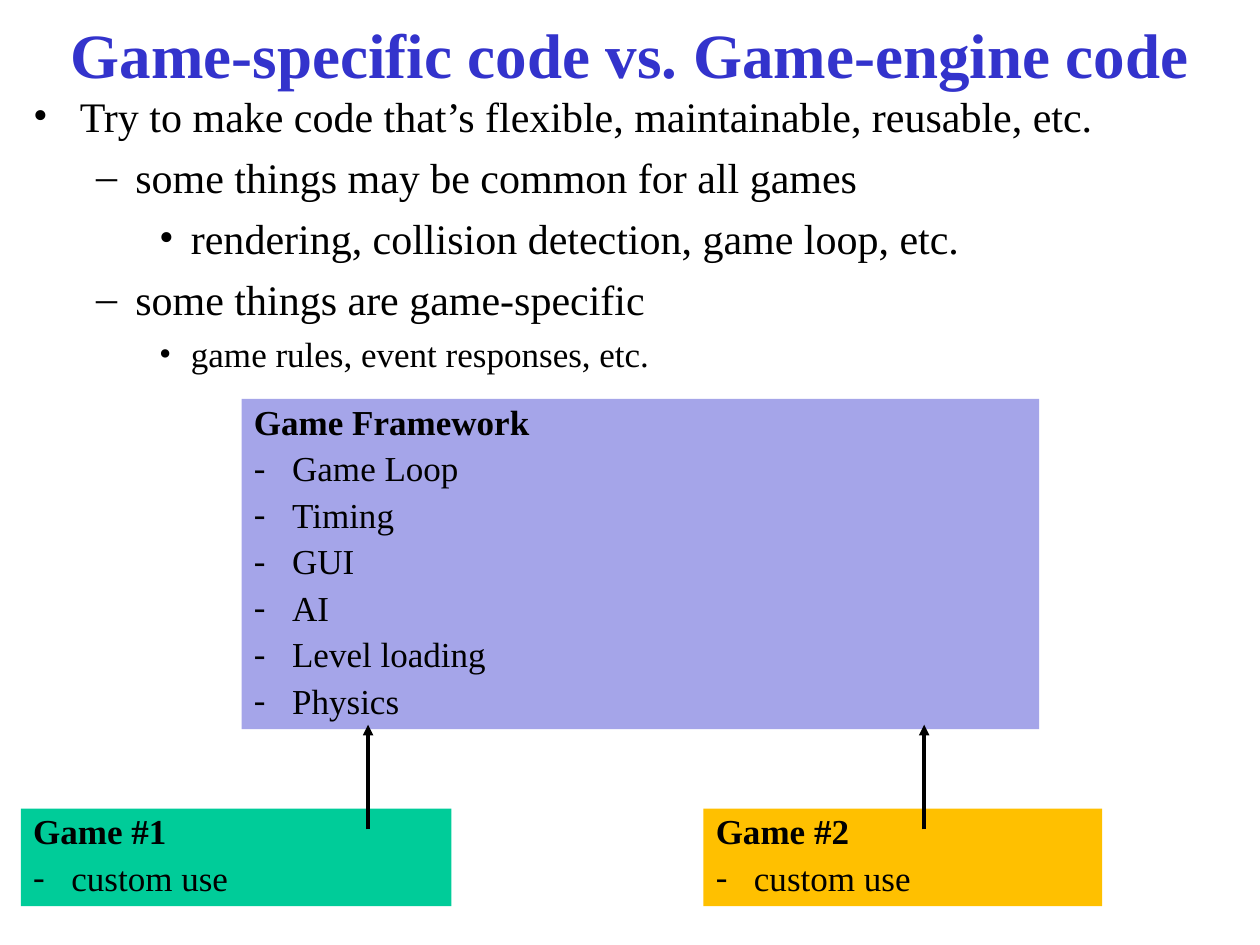
from pptx import Presentation
from pptx.dml.color import RGBColor
from pptx.enum.shapes import MSO_CONNECTOR as CONNECTOR, MSO_SHAPE as SHAPE
from pptx.enum.text import MSO_ANCHOR as ANCHOR, PP_ALIGN as ALIGN
from pptx.oxml.ns import qn
from pptx.util import Cm, Pt
from lxml.etree import SubElement


def color(value):
    return RGBColor.from_string(value)


def add_paragraph(frame, index, text, size, before, bullet=None, left=0, hanging=0,
                  bold=False, ink="000000"):
    paragraph = frame.paragraphs[0] if index == 0 else frame.add_paragraph()
    paragraph.space_before = Pt(before)
    properties = paragraph._p.get_or_add_pPr()
    if bullet:
        properties.set("marL", str(Cm(left)))
        properties.set("indent", str(-Cm(hanging)))
        SubElement(properties, qn("a:buFont"), typeface="Times New Roman")
        SubElement(properties, qn("a:buChar"), char=bullet)
    run = paragraph.add_run()
    run.text = text
    run.font.name = "Times New Roman"
    run.font.size = Pt(size)
    run.font.bold = bold
    run.font.color.rgb = color(ink)
    return paragraph


presentation = Presentation()
presentation.slide_width, presentation.slide_height = Cm(25.4), Cm(19.05)
slide = presentation.slides.add_slide(presentation.slide_layouts[5])

# Title
title = slide.shapes.title
title.left, title.top, title.width, title.height = Cm(0.42), Cm(0.18), Cm(24.56), Cm(1.78)
title.text_frame.vertical_anchor = ANCHOR.MIDDLE
heading = add_paragraph(title.text_frame, 0, "Game-specific code vs. Game-engine code",
                        36, 0, bold=True, ink="3333CC")
heading.alignment = ALIGN.CENTER

# Outline: bullet, left margin and hanging indent of each level
levels = [("•", 0.94, 0.94), ("–", 2.06, 0.79), ("•", 3.18, 0.64)]
outline = [
    (0, "Try to make code that’s flexible, maintainable, reusable, etc.", 24, 6),
    (1, "some things may be common for all games", 24, 6),
    (2, "rendering, collision detection, game loop, etc.", 24, 6),
    (1, "some things are game-specific", 24, 6),
    (2, "game rules, event responses, etc.", 20, 5),
]
body = slide.shapes.add_textbox(Cm(0.42), Cm(1.7), Cm(24.56), Cm(16.5)).text_frame
body.word_wrap = True
for index, (level, text, size, before) in enumerate(outline):
    paragraph = add_paragraph(body, index, text, size, before, *levels[level])
    paragraph.level = level

# Boxes: left, top, width, height, fill, heading, items
boxes = [
    (0.42, 16.3, 8.68, 1.97, "00CC99", "Game #1", ["custom use"]),
    (14.18, 16.3, 8.04, 1.97, "FFC000", "Game #2", ["custom use"]),
    (4.87, 8.04, 16.08, 6.66, "A5A5E9", "Game Framework",
     ["Game Loop", "Timing", "GUI", "AI", "Level loading", "Physics"]),
]
for left, top, width, height, fill, name, items in boxes:
    box = slide.shapes.add_shape(SHAPE.RECTANGLE, Cm(left), Cm(top), Cm(width), Cm(height))
    box.shadow.inherit = False
    box.fill.solid()
    box.fill.fore_color.rgb = color(fill)
    box.line.fill.background()
    frame = box.text_frame
    frame.word_wrap = True
    frame.vertical_anchor = ANCHOR.TOP
    for index, text in enumerate([name] + items):
        bullet = "-" if index else None
        paragraph = add_paragraph(frame, index, text, 20, 5, bullet, 0.77, 0.77,
                                  bold=index == 0)
        paragraph.alignment = ALIGN.LEFT
        paragraph.line_spacing = 0.9

# Arrows from the games up to the framework
for x in (7.42, 18.63):
    arrow = slide.shapes.add_connector(CONNECTOR.STRAIGHT, Cm(x), Cm(16.72), Cm(x), Cm(14.61))
    arrow.line.color.rgb = color("000000")
    arrow.line.width = Pt(2)
    SubElement(arrow.line._get_or_add_ln(), qn("a:tailEnd"), type="triangle")
    SubElement(arrow._element.spPr, qn("a:effectLst"))

presentation.save("out.pptx")
